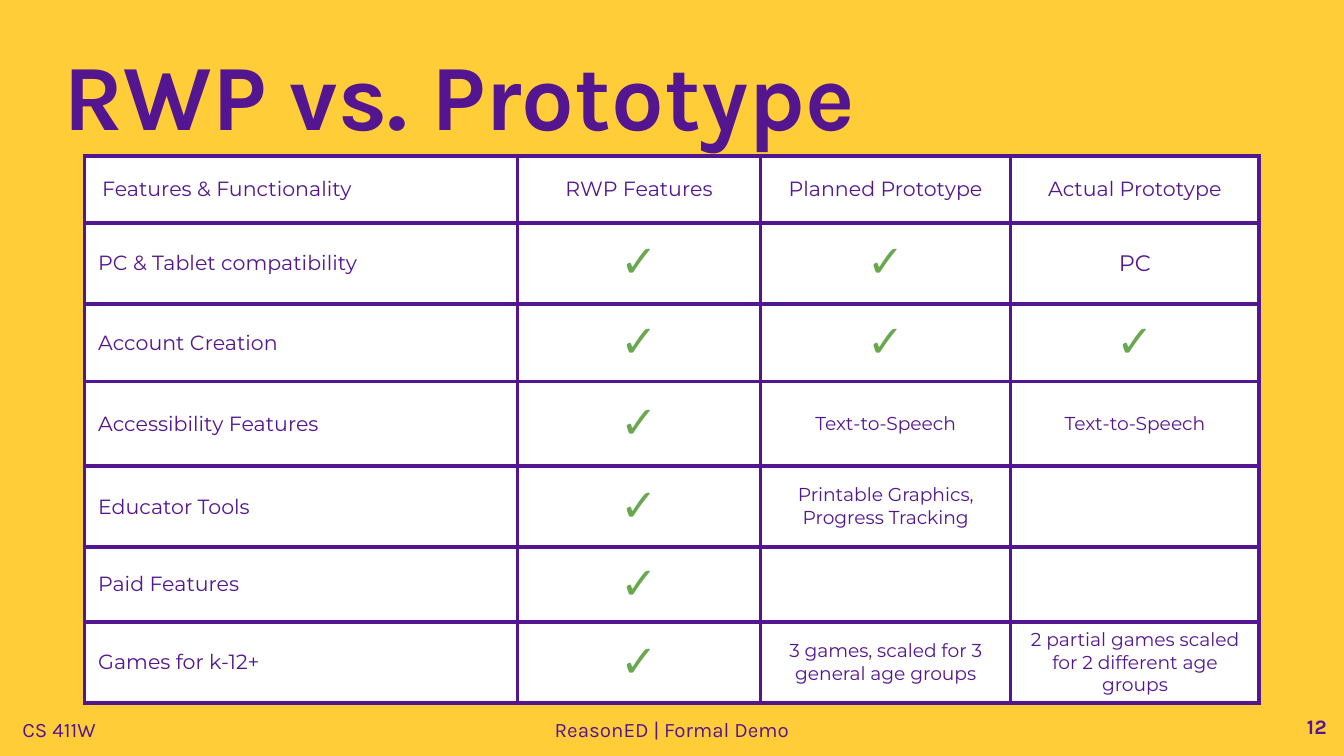
from dataclasses import dataclass

from lxml import etree
from pptx import Presentation
from pptx.dml.color import RGBColor
from pptx.enum.text import MSO_ANCHOR, PP_ALIGN
from pptx.oxml.ns import qn
from pptx.slide import Slide
from pptx.table import _Cell
from pptx.text.text import TextFrame
from pptx.util import Inches, Pt

LEFT, CENTER, RIGHT = PP_ALIGN.LEFT, PP_ALIGN.CENTER, PP_ALIGN.RIGHT
TOP, MIDDLE, BOTTOM = MSO_ANCHOR.TOP, MSO_ANCHOR.MIDDLE, MSO_ANCHOR.BOTTOM
TITLE_ONLY_LAYOUT = 5
PAGE_WIDTH = 10
PAGE_HEIGHT = PAGE_WIDTH * 9 / 16
CHECK = "✓"


@dataclass(frozen=True)
class TextStyle:
    font: str
    size: float
    color: str
    bold: bool = False


@dataclass(frozen=True)
class Theme:
    background: str = "FFCD38"
    cell_fill: str = "FFFFFF"
    border: str = "541690"
    border_width: float = 2.25
    title: TextStyle = TextStyle("Karla", 50, "541690", True)
    footer: TextStyle = TextStyle("Karla", 11, "541690")
    page_number: TextStyle = TextStyle("Karla", 11, "541690", True)
    label: TextStyle = TextStyle("Montserrat", 11, "541690")
    platform: TextStyle = TextStyle("Montserrat", 12, "541690")
    detail: TextStyle = TextStyle("Montserrat", 10, "541690")
    check: TextStyle = TextStyle("Comic Neue", 24, "6AA84F", True)


@dataclass(frozen=True)
class FooterItem:
    text: str
    left: float
    top: float
    width: float
    height: float
    align: PP_ALIGN
    style: TextStyle


THEME = Theme()
FOOTER_ITEMS = (
    FooterItem("12", 9.37, 5.22, 0.6, 0.43, RIGHT, THEME.page_number),
    FooterItem("CS 411W", 0, 5.24, 0.88, 0.39, CENTER, THEME.footer),
    FooterItem("ReasonED | Formal Demo", 3.79, 5.24, 2.42, 0.39, CENTER, THEME.footer),
)
COLUMN_WIDTHS = (3.22, 1.81, 1.86, 1.85)
ROW_HEIGHTS = (0.5, 0.6, 0.58, 0.63, 0.6, 0.56, 0.6)
FEATURE_ROWS = (
    ("Features & Functionality", "RWP Features", "Planned Prototype", "Actual Prototype"),
    ("PC & Tablet compatibility", CHECK, CHECK, "PC"),
    ("Account Creation", CHECK, CHECK, CHECK),
    ("Accessibility Features", CHECK, "Text-to-Speech", "Text-to-Speech"),
    ("Educator Tools", CHECK, "Printable Graphics, Progress Tracking", ""),
    ("Paid Features", CHECK, "", ""),
    ("Games for k-12+", CHECK, "3 games, scaled for 3 general age groups",
     "2 partial games scaled for 2 different age groups"),
)


def write_text(frame: TextFrame, text: str, style: TextStyle, align: PP_ALIGN) -> None:
    para = frame.paragraphs[0]
    para.alignment = align
    span = para.add_run()
    span.text = text
    span.font.name = style.font
    span.font.size = Pt(style.size)
    span.font.bold = style.bold
    span.font.color.rgb = RGBColor.from_string(style.color)


def set_margins(frame: TextFrame, horizontal: float, vertical: float) -> None:
    frame.margin_left = frame.margin_right = Inches(horizontal)
    frame.margin_top = frame.margin_bottom = Inches(vertical)


def add_title(page: Slide, text: str) -> None:
    title = page.shapes.title
    title.left, title.top = Inches(-0.95), Inches(0.35)
    title.width, title.height = Inches(8.74), Inches(0.81)
    frame = title.text_frame
    frame.word_wrap = True
    frame.vertical_anchor = BOTTOM
    set_margins(frame, 0.1, 0.05)
    write_text(frame, text, THEME.title, CENTER)
    frame.paragraphs[0].line_spacing = 0.85


def add_footer_item(page: Slide, item: FooterItem) -> None:
    box = page.shapes.add_textbox(
        Inches(item.left), Inches(item.top), Inches(item.width), Inches(item.height))
    frame = box.text_frame
    frame.word_wrap = True
    frame.vertical_anchor = TOP
    set_margins(frame, 0.1, 0.1)
    write_text(frame, item.text, item.style, item.align)


def cell_style(text: str, row: int, column: int) -> TextStyle:
    if text == CHECK:
        return THEME.check
    if row == 0 or column == 0:
        return THEME.label
    return THEME.platform if text == "PC" else THEME.detail


def format_cell(cell: _Cell) -> None:
    cell.vertical_anchor = MIDDLE
    cell.margin_left = cell.margin_right = Inches(0.1)
    cell.margin_top = cell.margin_bottom = 0
    properties = cell._tc.get_or_add_tcPr()
    for side in ("a:lnL", "a:lnR", "a:lnT", "a:lnB"):
        line = etree.SubElement(properties, qn(side), w=str(Pt(THEME.border_width)))
        fill = etree.SubElement(line, qn("a:solidFill"))
        etree.SubElement(fill, qn("a:srgbClr"), val=THEME.border)
    cell.fill.solid()
    cell.fill.fore_color.rgb = RGBColor.from_string(THEME.cell_fill)


def add_feature_table(page: Slide) -> None:
    table = page.shapes.add_table(
        len(ROW_HEIGHTS), len(COLUMN_WIDTHS), Inches(0.63), Inches(1.16),
        Inches(sum(COLUMN_WIDTHS)), Inches(sum(ROW_HEIGHTS))).table
    table.first_row = table.horz_banding = False
    for column, width in zip(table.columns, COLUMN_WIDTHS):
        column.width = Inches(width)
    for row, height in zip(table.rows, ROW_HEIGHTS):
        row.height = Inches(height)
    for row_index, texts in enumerate(FEATURE_ROWS):
        for column_index, text in enumerate(texts):
            cell = table.cell(row_index, column_index)
            format_cell(cell)
            if text:
                style = cell_style(text, row_index, column_index)
                align = CENTER if column_index else LEFT
                write_text(cell.text_frame, text, style, align)
    table.cell(0, 0).margin_left = Inches(0.13)


def main() -> None:
    deck = Presentation()
    deck.slide_width, deck.slide_height = Inches(PAGE_WIDTH), Inches(PAGE_HEIGHT)
    page = deck.slides.add_slide(deck.slide_layouts[TITLE_ONLY_LAYOUT])
    page.background.fill.solid()
    page.background.fill.fore_color.rgb = RGBColor.from_string(THEME.background)
    add_title(page, "RWP vs. Prototype")
    add_feature_table(page)
    for item in FOOTER_ITEMS:
        add_footer_item(page, item)
    deck.save("out.pptx")


if __name__ == "__main__":
    main()
